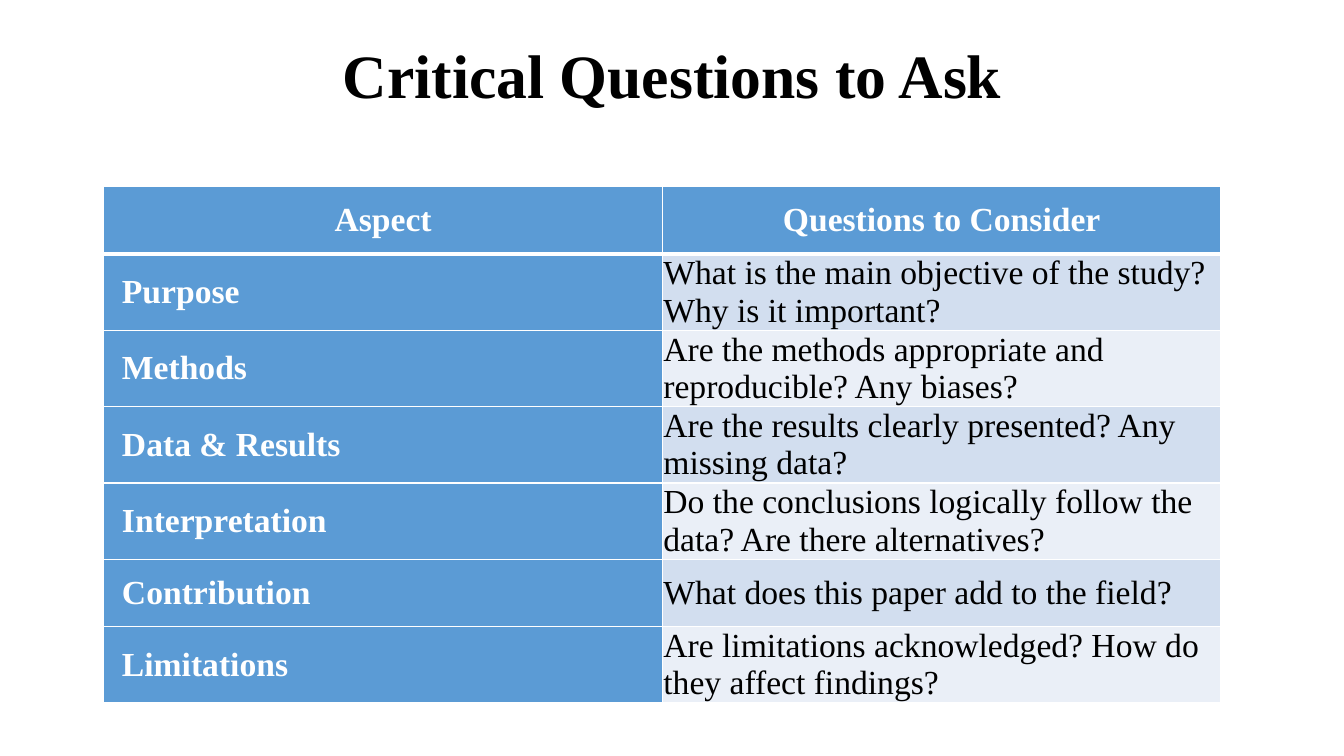
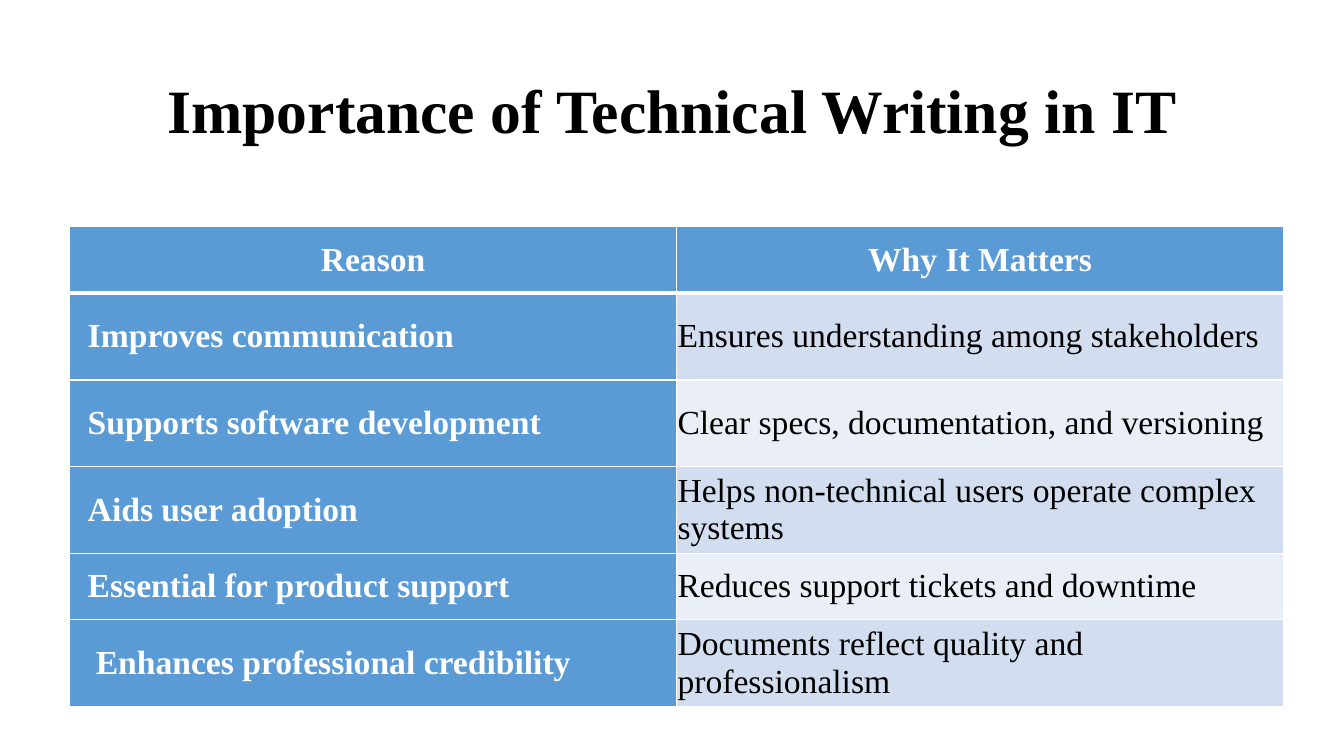
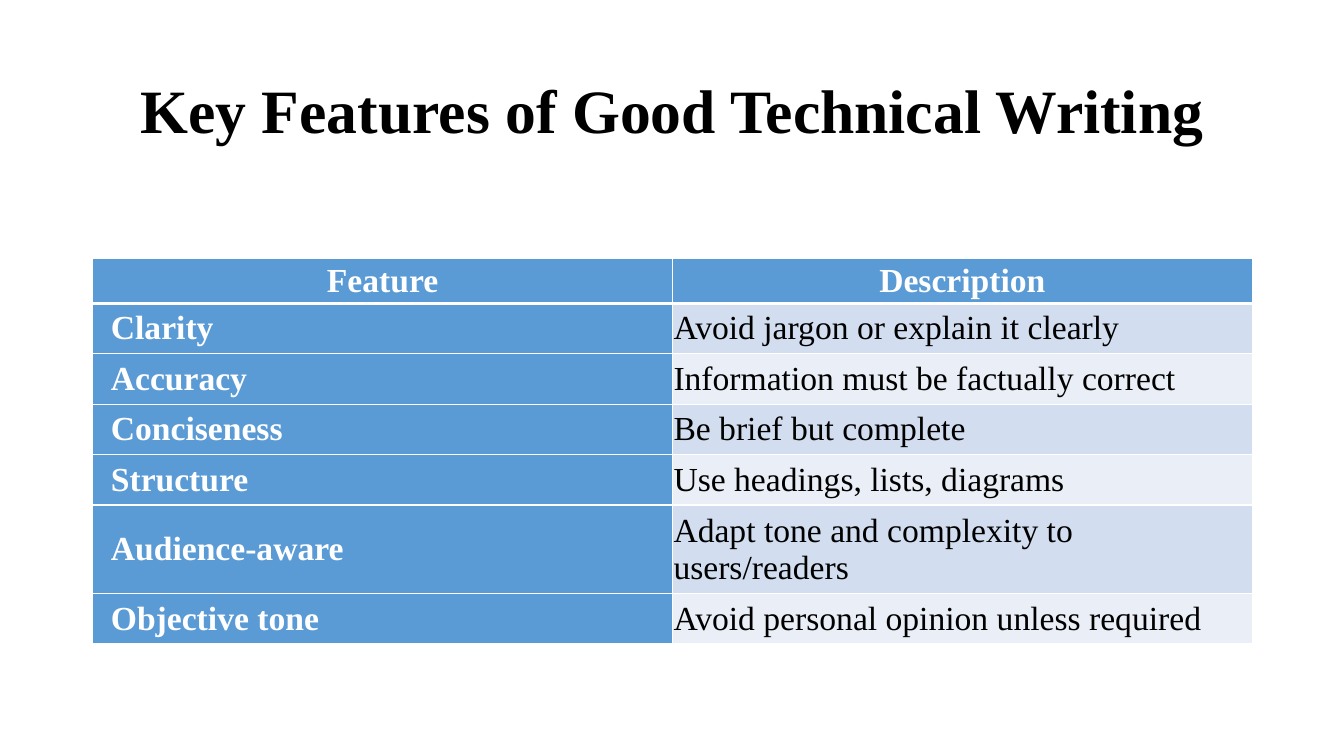
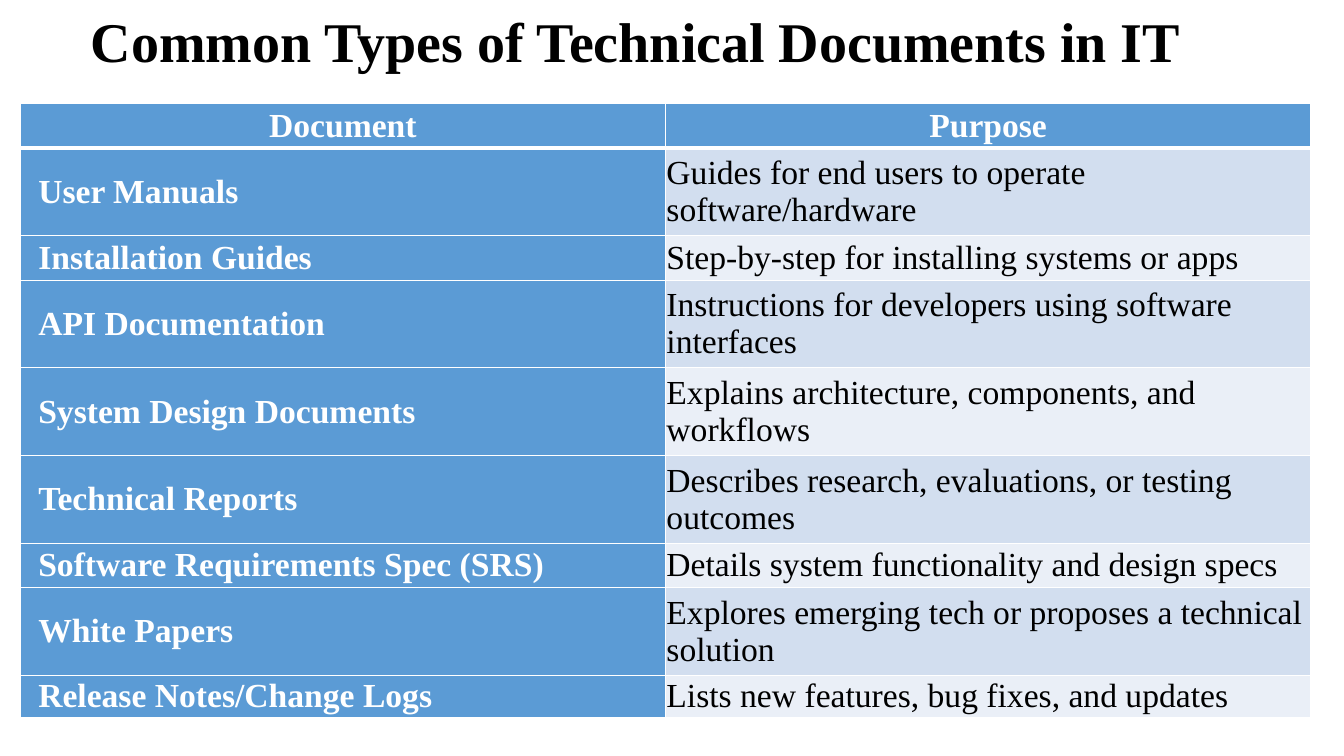
from dataclasses import dataclass

from lxml import etree
from pptx import Presentation
from pptx.dml.color import RGBColor
from pptx.enum.text import MSO_ANCHOR, MSO_AUTO_SIZE, PP_ALIGN
from pptx.oxml.ns import qn
from pptx.util import Inches, Pt

MID = MSO_ANCHOR.MIDDLE
FIXED = MSO_AUTO_SIZE.NONE
LEFT, CENTER = PP_ALIGN.LEFT, PP_ALIGN.CENTER

WIDE, HIGH = 13.33, 7.5
TITLE_ONLY = 5
FONT = "Times New Roman"
BLACK, WHITE, BLUE = "000000", "FFFFFF", "5B9BD5"
BANDS = ("D2DEEF", "EAEFF7")
PAD, INDENT = 0.01, 0.18
THIN, THICK = 1, 3


@dataclass(frozen=True)
class Box:
    x: float
    y: float
    w: float
    h: float


@dataclass(frozen=True)
class Head:
    text: str
    box: Box = Box(0.92, 0.4, 11.5, 1.45)
    size: int = 44
    align: PP_ALIGN = CENTER
    foot: float = 0.05  # inset below the text


@dataclass(frozen=True)
class Row:
    high: float
    label: str
    text: str
    indent: float = INDENT


@dataclass(frozen=True)
class Page:
    head: Head
    x: float
    y: float
    col: float  # width of each of the two columns
    rows: tuple[Row, ...]  # the first is the header


PAGES = (
    Page(Head("Critical Questions to Ask", foot=0.75), 1.03, 1.85, 5.54, (
        Row(0.67, "Aspect", "Questions to Consider"),
        Row(0.67, "Purpose", "What is the main objective of the study? Why is it important?"),
        Row(0.67, "Methods", "Are the methods appropriate and reproducible? Any biases?"),
        Row(0.67, "Data & Results", "Are the results clearly presented? Any missing data?"),
        Row(0.67, "Interpretation",
            "Do the conclusions logically follow the data? Are there alternatives?"),
        Row(0.67, "Contribution", "What does this paper add to the field?"),
        Row(0.67, "Limitations", "Are limitations acknowledged? How do they affect findings?"),
    )),
    Page(Head("Importance of Technical Writing in IT"), 0.69, 2.25, 6.02, (
        Row(0.66, "Reason", "Why It Matters"),
        Row(0.86, "Improves communication", "Ensures understanding among stakeholders"),
        Row(0.86, "Supports software development",
            "Clear specs, documentation, and versioning"),
        Row(0.86, "Aids user adoption", "Helps non-technical users operate complex systems"),
        Row(0.66, "Essential for product support", "Reduces support tickets and downtime"),
        Row(0.86, "Enhances professional credibility",
            "Documents reflect quality and professionalism", 0.26),
    )),
    Page(Head("Key Features of Good Technical Writing"), 0.92, 2.56, 5.75, (
        Row(0.45, "Feature", "Description"),
        Row(0.5, "Clarity", "Avoid jargon or explain it clearly"),
        Row(0.5, "Accuracy", "Information must be factually correct"),
        Row(0.5, "Conciseness", "Be brief but complete"),
        Row(0.5, "Structure", "Use headings, lists, diagrams"),
        Row(0.88, "Audience-aware", "Adapt tone and complexity to users/readers"),
        Row(0.5, "Objective tone", "Avoid personal opinion unless required"),
    )),
    Page(Head("Common Types of Technical Documents in IT",
              Box(0.8, 0.25, 11.6, 1.03), 40, LEFT, 0.7), 0.2, 1.03, 6.4, (
        Row(0.44, "Document", "Purpose"),
        Row(0.87, "User Manuals", "Guides for end users to operate software/hardware"),
        Row(0.44, "Installation Guides", "Step-by-step for installing systems or apps"),
        Row(0.87, "API Documentation", "Instructions for developers using software interfaces"),
        Row(0.87, "System Design Documents",
            "Explains architecture, components, and workflows"),
        Row(0.87, "Technical Reports", "Describes research, evaluations, or testing outcomes"),
        Row(0.44, "Software Requirements Spec (SRS)",
            "Details system functionality and design specs"),
        Row(0.87, "White Papers", "Explores emerging tech or proposes a technical solution"),
        Row(0.42, "Release Notes/Change Logs", "Lists new features, bug fixes, and updates"),
    )),
)


def paint(target, color: str) -> None:
    """Fill a shape or cell, or colour a font."""
    if hasattr(target, "fill") and not hasattr(target, "bold"):
        target.fill.solid()
        target = target.fill.fore_color
    else:
        target = target.color
    target.rgb = RGBColor.from_string(color)


def style(para, size: int, color: str, bold: bool, align: PP_ALIGN) -> None:
    para.alignment = align
    font = para.font
    font.name, font.size, font.bold = FONT, Pt(size), bold
    paint(font, color)


def edge(cell, top: int, bottom: int) -> None:
    """Draw the white borders; top and bottom are widths in points."""
    props = cell._tc.get_or_add_tcPr()
    for side, width in (("L", THIN), ("R", THIN), ("T", top), ("B", bottom)):
        line = etree.SubElement(props, qn(f"a:ln{side}"), w=str(Pt(width)))
        fill = etree.SubElement(line, qn("a:solidFill"))
        etree.SubElement(fill, qn("a:srgbClr"), val=WHITE)


def write(cell, text: str, back: str, ink: str, bold: bool,
          align: PP_ALIGN = LEFT, indent: float = PAD) -> None:
    cell.text = text
    cell.vertical_anchor = MID
    cell.margin_left = Inches(indent)
    cell.margin_right = cell.margin_top = cell.margin_bottom = Inches(PAD)
    style(cell.text_frame.paragraphs[0], 24, ink, bold, align)
    paint(cell, back)


def add_head(slide, head: Head) -> None:
    title, box = slide.shapes.title, head.box
    title.left, title.top = Inches(box.x), Inches(box.y)
    title.width, title.height = Inches(box.w), Inches(box.h)
    frame = title.text_frame
    frame.text = head.text
    frame.word_wrap, frame.auto_size = True, FIXED
    frame.vertical_anchor = MID
    frame.margin_bottom = Inches(head.foot)
    para = frame.paragraphs[0]
    para.line_spacing = 0.9
    style(para, head.size, BLACK, True, head.align)


def add_grid(slide, page: Page) -> None:
    high = sum(row.high for row in page.rows)
    table = slide.shapes.add_table(
        len(page.rows), 2, Inches(page.x), Inches(page.y),
        Inches(2 * page.col), Inches(high)).table
    for col in table.columns:
        col.width = Inches(page.col)
    for i, row in enumerate(page.rows):
        table.rows[i].height = Inches(row.high)
        label, text = table.cell(i, 0), table.cell(i, 1)
        for cell in (label, text):
            edge(cell, THICK if i == 1 else THIN, THICK if i == 0 else THIN)
        if i == 0:
            write(label, row.label, BLUE, WHITE, True, CENTER)
            write(text, row.text, BLUE, WHITE, True, CENTER)
        else:
            write(label, row.label, BLUE, WHITE, True, indent=row.indent)
            write(text, row.text, BANDS[(i - 1) % 2], BLACK, False)


def main() -> None:
    deck = Presentation()
    deck.slide_width, deck.slide_height = Inches(WIDE), Inches(HIGH)
    for page in PAGES:
        slide = deck.slides.add_slide(deck.slide_layouts[TITLE_ONLY])
        add_head(slide, page.head)
        add_grid(slide, page)
    deck.save("out.pptx")


if __name__ == "__main__":
    main()
